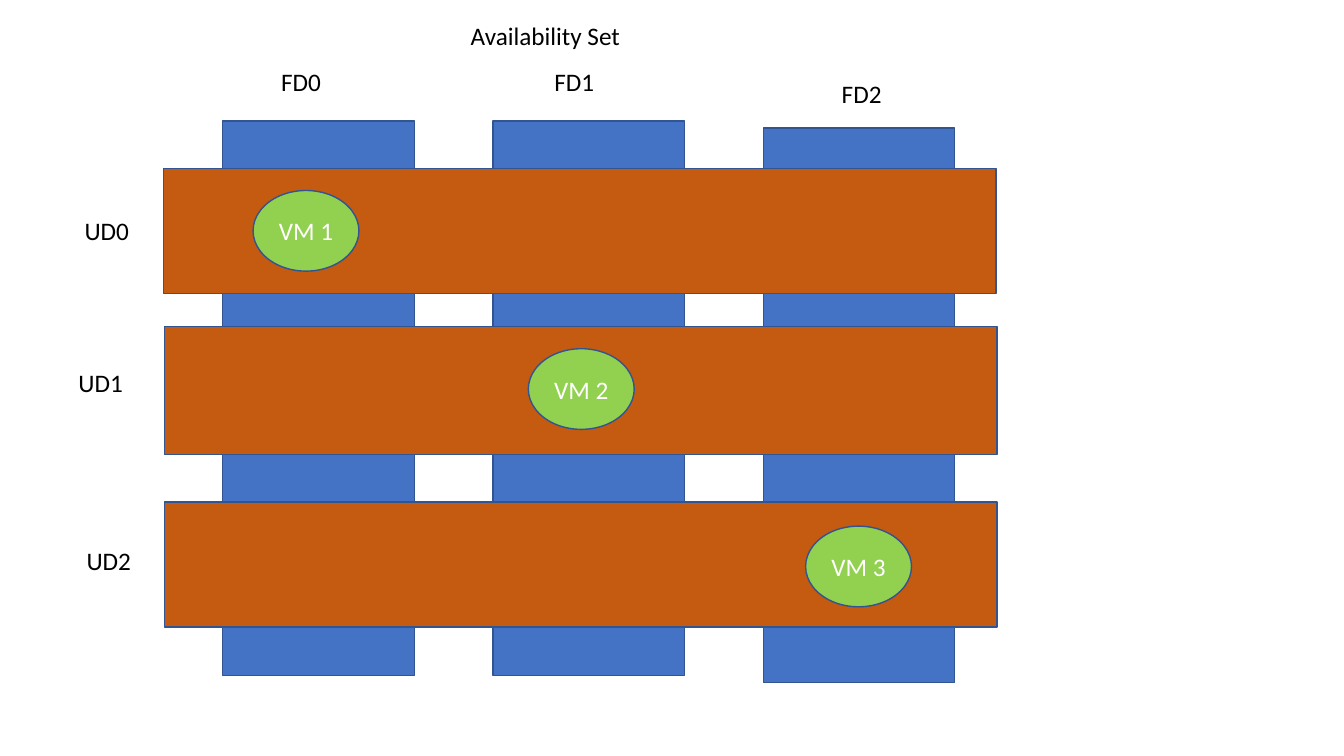
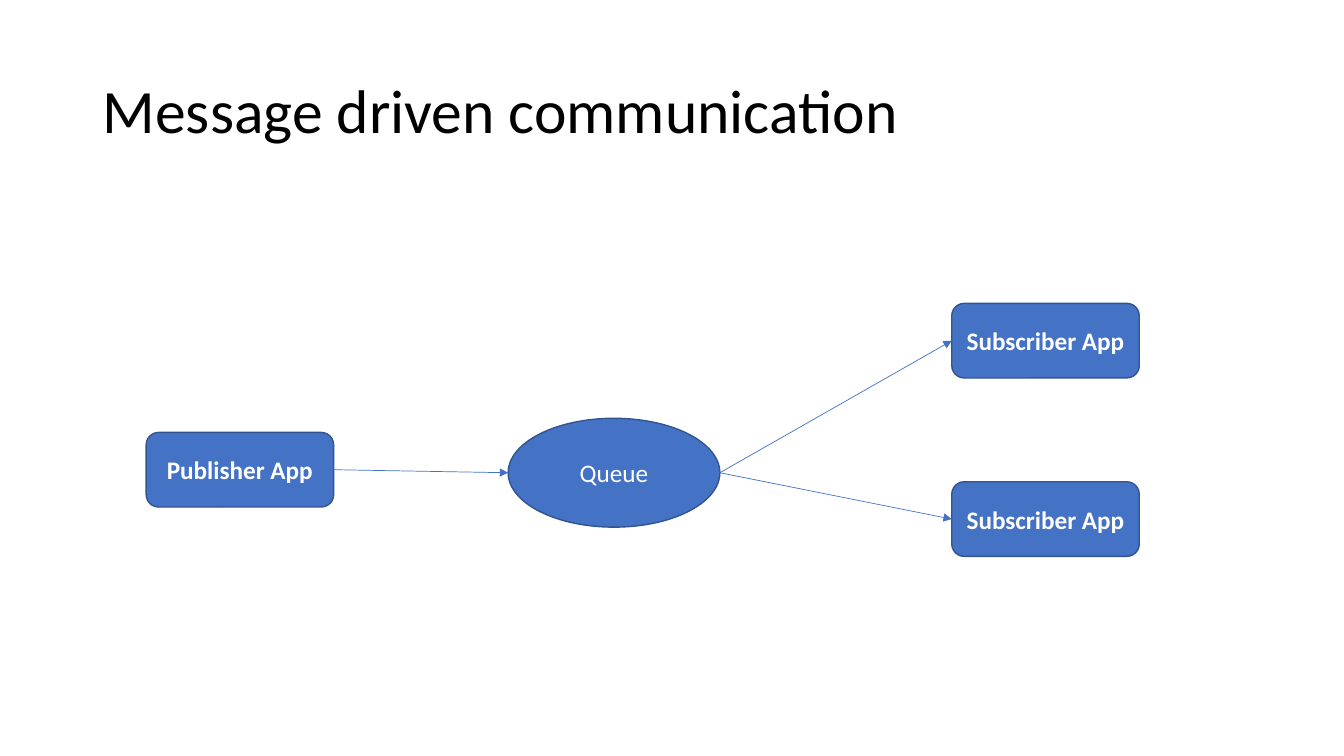
from pptx import Presentation
from pptx.dml.color import RGBColor
from pptx.enum.shapes import MSO_CONNECTOR as Connector, MSO_SHAPE as Shape
from pptx.enum.text import MSO_ANCHOR as Anchor, PP_ALIGN as Align
from pptx.oxml.ns import qn
from pptx.util import Inches, Pt
from lxml.etree import SubElement

FONT = "Calibri"
COLORS = {"blue": "4472C4", "outline": "325491", "orange": "C55A11",
          "green": "92D050", "black": "000000", "white": "FFFFFF"}

SET_TITLE = ("Availability Set", 4.57, 0.15, 3.83)
FAULT_DOMAINS = [("FD0", 2.69, 0.61, 1.2), ("FD1", 5.4, 0.61, 1.2), ("FD2", 8.25, 0.73, 1.27)]
FAULT_LEFT, FAULT_STEP, FAULT_SIZE = 2.21, 2.68, (1.9, 5.5)
UPDATE_DOMAINS = [("UD0", 0.74, 2.09, (1.62, 1.67, 8.26, 1.24)),
                  ("UD1", 0.68, 3.59, (1.63, 3.24, 8.26, 1.27)),
                  ("UD2", 0.76, 5.36, (1.63, 4.98, 8.26, 1.24))]
MACHINES = [("VM 1", 2.51, 1.89), ("VM 2", 5.24, 3.46), ("VM 3", 7.99, 5.22)]
MACHINE_SIZE = (1.05, 0.8)
LABEL_WIDTH, LABEL_HEIGHT = 0.88, 0.4

MESSAGE_TITLE = "Message driven communication"
PUBLISHER = ("Publisher App", 1.45, 4.29)
SUBSCRIBERS = [("Subscriber App", 9.44, 3.01), ("Subscriber App", 9.44, 4.78)]
APP_SIZE = (1.86, 0.74)
QUEUE = ("Queue", (5.04, 4.15, 2.1, 1.08))


def rgb(name):
    return RGBColor.from_string(COLORS[name])


def write(frame, text, color, size=18, bold=False):
    frame.word_wrap = True
    frame.text = text
    paragraph = frame.paragraphs[0]
    font = paragraph.runs[0].font
    font.name, font.size, font.bold = FONT, Pt(size), bold
    font.color.rgb = rgb(color)
    return paragraph


def add_label(slide, text, left, top, width=LABEL_WIDTH):
    label = slide.shapes.add_textbox(*map(Inches, (left, top, width, LABEL_HEIGHT)))
    write(label.text_frame, text, "black")


def add_node(slide, kind, box, fill, text="", bold=False):
    node = slide.shapes.add_shape(kind, *map(Inches, box))
    node.shadow.inherit = False
    node.fill.solid()
    node.fill.fore_color.rgb = rgb(fill)
    node.line.color.rgb = rgb("outline")
    node.line.width = Pt(1)
    if text:
        frame = node.text_frame
        frame.margin_left = frame.margin_right = 0
        frame.vertical_anchor = Anchor.MIDDLE
        write(frame, text, "white", bold=bold).alignment = Align.CENTER
    return node


def add_app(slide, text, left, top):
    return add_node(slide, Shape.ROUNDED_RECTANGLE, (left, top, *APP_SIZE), "blue", text, bold=True)


def add_arrow(slide, source, target):
    arrow = slide.shapes.add_connector(
        Connector.STRAIGHT,
        source.left + source.width, source.top + source.height // 2,
        target.left, target.top + target.height // 2)
    arrow.line.color.rgb = rgb("blue")
    arrow.line.width = Pt(0.5)
    SubElement(arrow.line._get_or_add_ln(), qn("a:tailEnd"), type="triangle")
    SubElement(arrow._element.spPr, qn("a:effectLst"))


def build_availability_set(slide):
    for column, (name, left, top, bar_top) in enumerate(FAULT_DOMAINS):
        bar_left = FAULT_LEFT + column * FAULT_STEP
        add_node(slide, Shape.RECTANGLE, (bar_left, bar_top, *FAULT_SIZE), "blue")
        add_label(slide, name, left, top)
    for name, left, top, band in UPDATE_DOMAINS:
        add_node(slide, Shape.RECTANGLE, band, "orange")
        add_label(slide, name, left, top)
    for name, left, top in MACHINES:
        add_node(slide, Shape.OVAL, (left, top, *MACHINE_SIZE), "green", name)
    add_label(slide, *SET_TITLE)


def build_messaging(slide):
    title = slide.shapes.add_textbox(*map(Inches, (0.92, 0.4, 11.5, 1.45)))
    title.text_frame.vertical_anchor = Anchor.MIDDLE
    write(title.text_frame, MESSAGE_TITLE, "black", size=44).line_spacing = 0.9

    publisher = add_app(slide, *PUBLISHER)
    queue_name, queue_box = QUEUE
    queue = add_node(slide, Shape.OVAL, queue_box, "blue", queue_name)
    add_arrow(slide, publisher, queue)
    for subscriber in SUBSCRIBERS:
        add_arrow(slide, queue, add_app(slide, *subscriber))


deck = Presentation()
deck.slide_width, deck.slide_height = Inches(13.33), Inches(7.5)
blank = deck.slide_layouts[6]
for build in (build_availability_set, build_messaging):
    build(deck.slides.add_slide(blank))
deck.save("out.pptx")
